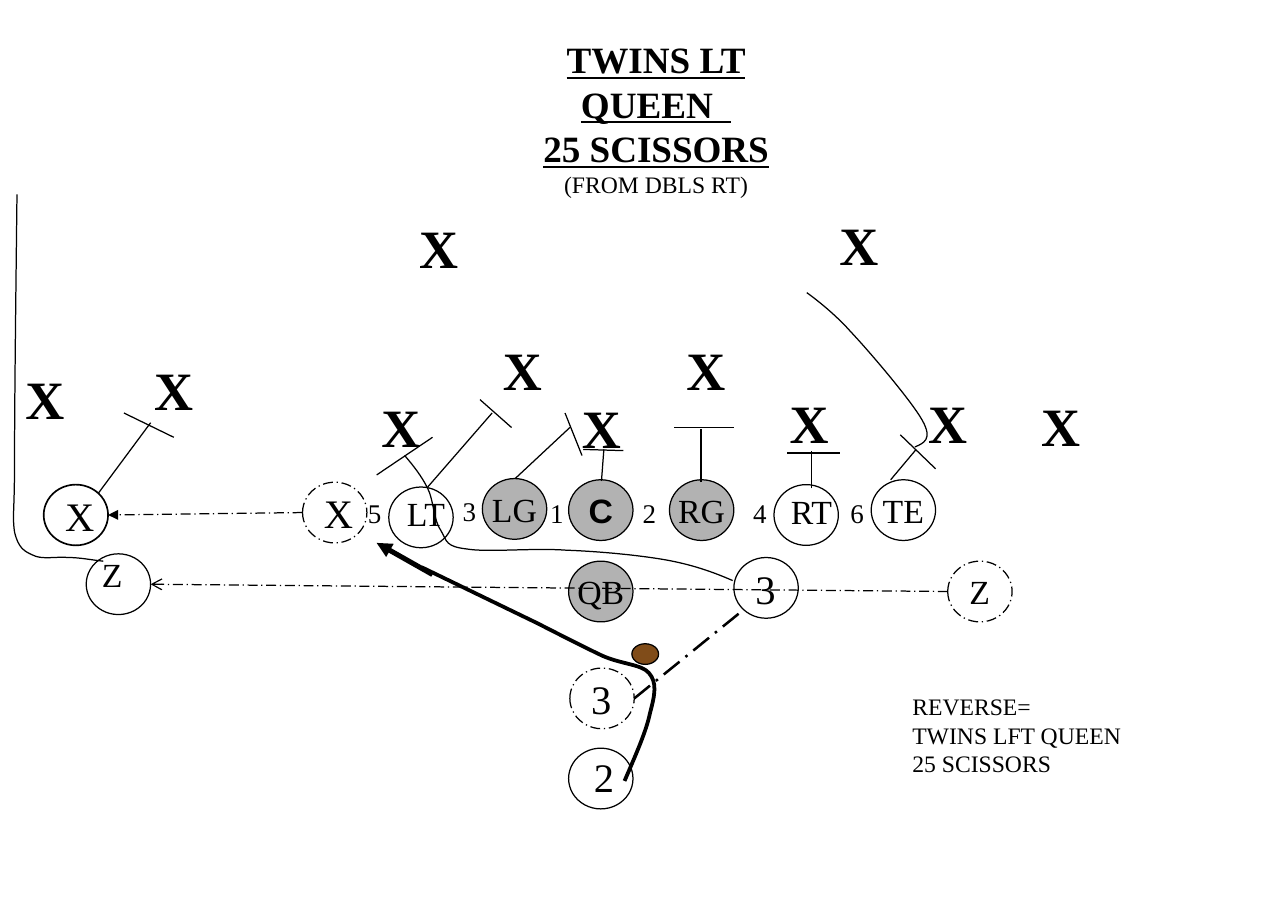
from pptx import Presentation
from pptx.dml.color import RGBColor
from pptx.enum.dml import MSO_LINE
from pptx.enum.shapes import MSO_CONNECTOR, MSO_SHAPE
from pptx.enum.text import MSO_ANCHOR, MSO_AUTO_SIZE, PP_ALIGN
from pptx.oxml import parse_xml
from pptx.oxml.ns import nsdecls, qn
from pptx.oxml.xmlchemy import OxmlElement
from pptx.util import Inches, Pt

BLACK = RGBColor(0x00, 0x00, 0x00)
WHITE = RGBColor(0xFF, 0xFF, 0xFF)
GRAY = RGBColor(0xB2, 0xB2, 0xB2)
BROWN = RGBColor(0x80, 0x4C, 0x19)
SERIF, SANS = "Times New Roman", "Arial"
THIN = 0.74


def write(para, text, size=20, font=SERIF, bold=False, underline=False,
          align=PP_ALIGN.LEFT):
    para.alignment = align
    para.line_spacing = 1.0
    para.space_before = para.space_after = Pt(0)
    span = para.add_run()
    span.text = text
    span.font.size = Pt(size)
    span.font.name = font
    span.font.bold = bold
    span.font.underline = underline
    span.font.color.rgb = BLACK


class PlayDiagram:
    """Holds the drawing style and the current page."""

    def __init__(self, page):
        self.page = page
        self.shapes = page.shapes

    def stroke(self, line, width, dashed):
        line.color.rgb = BLACK
        line.width = Pt(width)
        if dashed:
            line.dash_style = MSO_LINE.LONG_DASH_DOT

    def fill_frame(self, frame, lines, wrap):
        """Write (text, format) pairs, one paragraph each."""
        frame.word_wrap = wrap
        frame.auto_size = MSO_AUTO_SIZE.NONE
        for index, (text, style) in enumerate(lines):
            para = frame.add_paragraph() if index else frame.paragraphs[0]
            write(para, text, **style)

    def title(self, lines, left, top, width, height):
        box = self.shapes.title
        box.left, box.top = Inches(left), Inches(top)
        box.width, box.height = Inches(width), Inches(height)
        box.text_frame.vertical_anchor = MSO_ANCHOR.TOP
        self.fill_frame(box.text_frame, lines, True)

    def text(self, lines, left, top, width, height, wrap=False):
        box = self.shapes.add_textbox(
            Inches(left), Inches(top), Inches(width), Inches(height))
        self.fill_frame(box.text_frame, lines, wrap)

    def oval(self, left, top, label="", fill=WHITE, width=0.53, height=0.5,
             line_width=THIN, dashed=False, **style):
        oval = self.shapes.add_shape(
            MSO_SHAPE.OVAL, Inches(left), Inches(top), Inches(width), Inches(height))
        oval.shadow.inherit = False
        oval.fill.solid()
        oval.fill.fore_color.rgb = fill
        self.stroke(oval.line, line_width, dashed)
        if label:
            oval.text_frame.vertical_anchor = MSO_ANCHOR.MIDDLE
            self.fill_frame(oval.text_frame, [(label, style)], False)

    def line(self, start, end, width=THIN, dashed=False, arrow=None):
        line = self.shapes.add_connector(
            MSO_CONNECTOR.STRAIGHT, *(Inches(value) for value in start + end))
        self.stroke(line.line, width, dashed)
        properties = line.element.spPr
        if arrow:
            properties.find(qn("a:ln")).append(
                parse_xml(f'<a:tailEnd {nsdecls("a")} type="{arrow}"/>'))
        properties.append(OxmlElement("a:effectLst"))

    def route(self, points, width=THIN):
        """Each three points after the first make a Bezier; any left over are straight."""
        points = [(Inches(x), Inches(y)) for x, y in points]
        builder = self.shapes.build_freeform(*points[0])
        builder.add_line_segments(points[1:], close=False)
        route = builder.convert_to_shape()
        route.shadow.inherit = False
        route.fill.background()
        self.stroke(route.line, width, False)
        steps = list(route.element.iter(qn("a:lnTo")))
        for first in range(0, len(steps) - 2, 3):
            curve = OxmlElement("a:cubicBezTo")
            steps[first].addprevious(curve)
            for step in steps[first:first + 3]:
                curve.append(step[0])
                step.getparent().remove(step)


deck = Presentation()
deck.slide_width, deck.slide_height = Inches(10.6), Inches(7.5)
play = PlayDiagram(deck.slides.add_slide(deck.slide_layouts[5]))

# Play name
heading = dict(size=22, bold=True, underline=True, align=PP_ALIGN.CENTER)
play.title([("TWINS LT", heading), ("QUEEN  ", heading), ("25 SCISSORS", heading),
            ("(FROM DBLS RT)", dict(size=14, align=PP_ALIGN.CENTER))],
           3, 0.25, 4.8, 1.67)

# Offense: circles with their own labels
for label, left, top, fill in [("RG", 5.51, 3.95, GRAY), ("LG", 3.97, 3.94, GRAY),
                               ("QB", 4.68, 4.62, GRAY), ("TE", 7.17, 3.95, WHITE)]:
    play.oval(left, top, label, fill, align=PP_ALIGN.CENTER)
play.oval(4.68, 3.95, "C", GRAY, font=SANS, bold=True, align=PP_ALIGN.CENTER)
play.oval(6.04, 4.59, "3", size=24)
play.oval(0.36, 3.99, "X", size=24, line_width=0.99)
for label, left, top in [("X", 2.49, 3.97), ("3", 4.69, 5.5)]:
    play.oval(left, top, label, size=24, dashed=True)

# Offense: circles with labels set off centre
for label, left, top, text_left, text_top, text_width, size, dashed in [
        ("2", 4.68, 6.16, 4.79, 6.14, 0.36, 24, False),
        ("LT", 3.2, 4.01, 3.25, 4.01, 0.54, 20, False),
        ("RT", 6.37, 3.99, 6.41, 3.99, 0.55, 20, False),
        ("Z", 7.8, 4.62, 7.88, 4.65, 0.37, 20, True),
        ("Z", 0.71, 4.56, 0.74, 4.51, 0.37, 20, False)]:
    play.oval(left, top, dashed=dashed)
    play.text([(label, dict(size=size))], text_left, text_top, text_width, 0.5)

# Defenders
for left, top in [(4.69, 3.2), (3.04, 3.19), (6.4, 3.16), (4.04, 2.72), (1.17, 2.89),
                  (5.55, 2.72), (7.54, 3.16), (0.11, 2.96), (8.47, 3.18),
                  (3.35, 1.72), (6.81, 1.69)]:
    play.text([("X", dict(size=32, bold=True))], left, top, 0.52, 0.64)

# Hole numbers
for hole, left, top in [("5", 2.93, 4.04), ("3", 3.71, 4.02), ("1", 4.43, 4.04),
                        ("2", 5.19, 4.04), ("4", 6.1, 4.04), ("6", 6.9, 4.04)]:
    play.text([(hole, dict(size=16))], left, top, 0.34, 0.43)

# Football
play.oval(5.2, 5.3, fill=BROWN, width=0.22, height=0.17)

# Blocks: stem, then crossbar
for start, end in [
        ((4.95, 3.96), (4.97, 3.7)), ((4.8, 3.7), (5.13, 3.71)),
        ((6.68, 4.02), (6.68, 3.71)), ((6.48, 3.73), (6.91, 3.73)),
        ((5.77, 3.97), (5.77, 3.53)), ((5.55, 3.52), (6.04, 3.52)),
        ((7.33, 3.95), (7.54, 3.7)), ((7.41, 3.58), (7.7, 3.86)),
        ((4.24, 3.94), (4.69, 3.52)), ((4.65, 3.4), (4.79, 3.75)),
        ((3.52, 4.01), (4.05, 3.4)), ((3.95, 3.29), (4.21, 3.52)),
        ((0.81, 4.06), (1.24, 3.48)), ((1.02, 3.4), (1.43, 3.6)),
        ((3.1, 3.91), (3.56, 3.6))]:
    play.line(start, end)

# Motion before the snap
play.line((2.49, 4.22), (0.89, 4.24), dashed=True, arrow="triangle")
play.line((7.8, 4.87), (1.24, 4.81), dashed=True, arrow="arrow")
play.line((5.22, 5.75), (6.12, 5.02), width=1.5, dashed=True)

# Path of back 3 to the left block
play.route([(6.03, 4.78), (5.87, 4.71), (5.7, 4.65), (5.48, 4.61),
            (5.25, 4.57), (4.93, 4.54), (4.66, 4.53),
            (4.39, 4.51), (4.01, 4.55), (3.84, 4.52),
            (3.67, 4.5), (3.68, 4.46), (3.63, 4.37),
            (3.57, 4.29), (3.57, 4.12), (3.52, 4.02),
            (3.47, 3.92), (3.4, 3.83), (3.33, 3.75)])

# Ball carrier 2
play.route([(5.14, 6.43), (5.23, 6.22), (5.32, 6.02), (5.35, 5.87),
            (5.39, 5.72), (5.41, 5.62), (5.34, 5.54),
            (5.28, 5.47), (5.12, 5.47), (4.96, 5.4),
            (4.81, 5.33), (4.42, 5.13), (4.42, 5.13), (3.47, 4.67)], width=2.24)
play.line((3.56, 4.73), (3.1, 4.47), width=3, arrow="triangle")

# Tight end release
play.route([(7.53, 3.68), (7.6, 3.65), (7.68, 3.62), (7.59, 3.46),
            (7.5, 3.3), (7.16, 2.9), (7, 2.73),
            (6.84, 2.55), (6.64, 2.41), (6.64, 2.41)])

# Receiver Z deep route
play.route([(0.85, 4.62), (0.75, 4.61), (0.66, 4.59), (0.56, 4.59),
            (0.47, 4.58), (0.34, 4.61), (0.27, 4.57),
            (0.2, 4.54), (0.15, 4.51), (0.12, 4.38),
            (0.1, 4.24), (0.12, 4.24), (0.12, 3.78),
            (0.12, 3.32), (0.13, 2.46), (0.14, 1.6)])

# Reverse call
play.text([(call, dict(size=14)) for call in
           ("REVERSE=", "TWINS LFT QUEEN", "25 SCISSORS")],
          7.41, 5.65, 1.92, 0.8, wrap=True)

deck.save("out.pptx")
